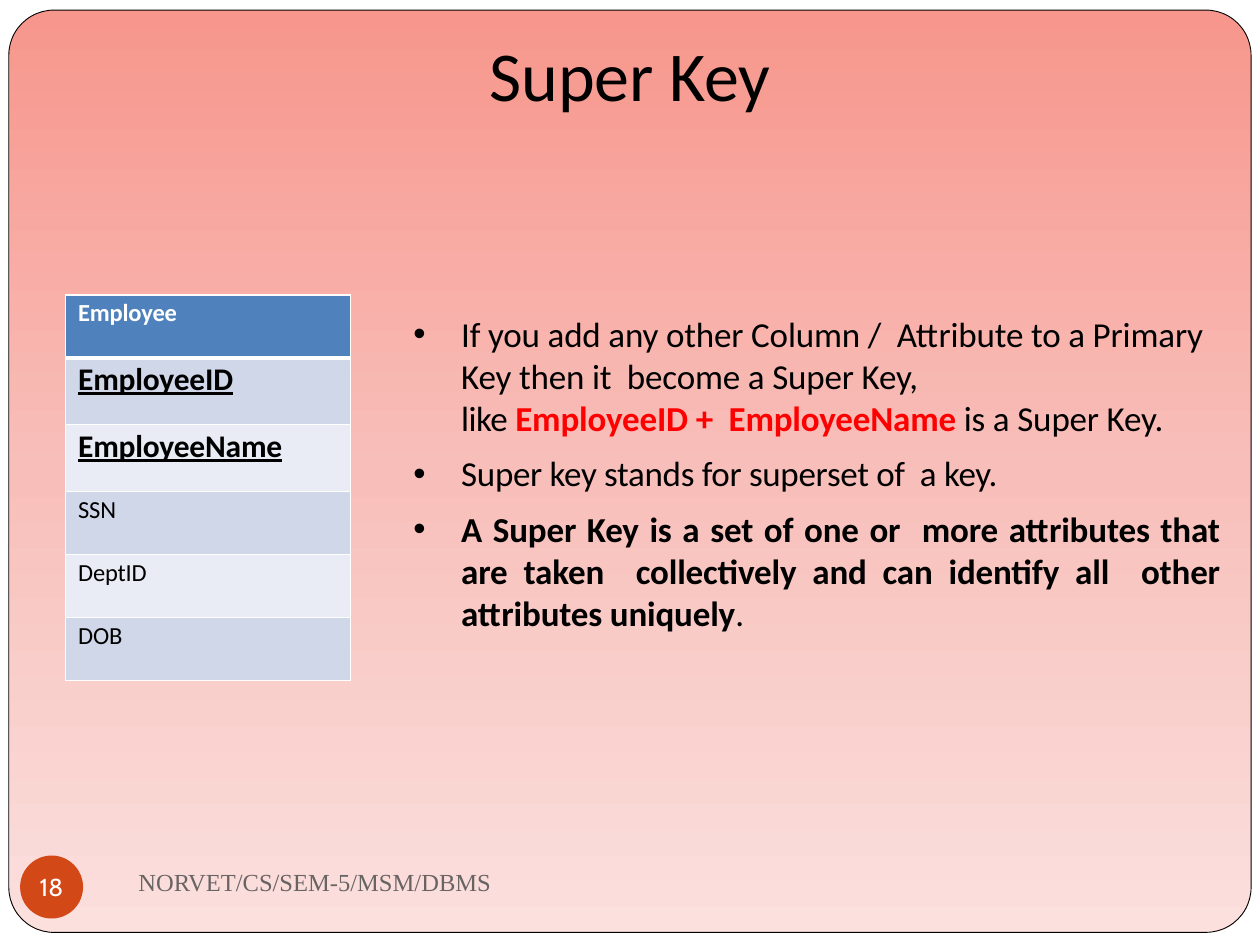
from copy import deepcopy

from lxml.etree import SubElement
from pptx import Presentation
from pptx.dml.color import RGBColor
from pptx.enum.shapes import MSO_SHAPE as Shape
from pptx.enum.text import MSO_ANCHOR as Anchor, MSO_AUTO_SIZE as AutoSize, PP_ALIGN as Align
from pptx.oxml.ns import qn
from pptx.util import Inches, Pt

BLACK = RGBColor(0x00, 0x00, 0x00)
WHITE = RGBColor(0xFF, 0xFF, 0xFF)
RED = RGBColor(0xFF, 0x00, 0x00)
GREY = RGBColor(0x69, 0x64, 0x64)
ORANGE = RGBColor(0xD3, 0x48, 0x17)
HEADER_BLUE = RGBColor(0x4F, 0x81, 0xBC)
BANDS = (RGBColor(0xD0, 0xD7, 0xE8), RGBColor(0xE9, 0xEC, 0xF4))
PANEL_STOPS = ((0, RGBColor(0xF7, 0x96, 0x8C)), (0.5, RGBColor(0xF8, 0xBF, 0xBA)),
               (1, RGBColor(0xFB, 0xE0, 0xDE)))


def write(paragraph, text, size=20, font="Calibri", color=BLACK, bold=False,
          underline=False, spacing=-0.1, align=Align.LEFT, before=0):
    """Append a formatted run to a paragraph."""
    paragraph.alignment = align
    paragraph.space_before = Pt(before)
    run = paragraph.add_run()
    run.text = text
    run.font.size, run.font.name = Pt(size), font
    run.font.bold, run.font.underline = bold, underline
    run.font.color.rgb = color
    run._r.get_or_add_rPr().set("spc", str(round(spacing * 100)))


class KeySlide:
    """Holds the style and the current slide."""

    def __init__(self, deck):
        self.slide = deck.slides.add_slide(deck.slide_layouts[5])
        self.shapes = self.slide.shapes
        self.slide.background.fill.solid()
        self.slide.background.fill.fore_color.rgb = WHITE

    def place(self, shape, box):
        shape.left, shape.top, shape.width, shape.height = map(Inches, box)

    def frame(self, shape, insets=(0, 0.01, 0, 0), anchor=Anchor.TOP, wrap=True):
        frame = shape.text_frame
        frame.auto_size = AutoSize.NONE
        frame.word_wrap, frame.vertical_anchor = wrap, anchor
        (frame.margin_left, frame.margin_top,
         frame.margin_right, frame.margin_bottom) = map(Inches, insets)
        return frame

    def panel(self, box):
        panel = self.shapes.add_shape(Shape.ROUNDED_RECTANGLE, *map(Inches, box))
        panel.adjustments[0] = 0.049
        panel.shadow.inherit = False
        panel.line.color.rgb, panel.line.width = BLACK, Pt(0.5)
        panel.fill.gradient()
        panel.fill.gradient_angle = 270
        stops = panel._element.spPr.find(".//" + qn("a:gsLst"))
        stops.insert(1, deepcopy(stops[0]))
        for stop, (position, color) in zip(panel.fill.gradient_stops, PANEL_STOPS):
            stop.position, stop.color.rgb = position, color
        self.shapes._spTree.insert(2, panel._element)

    def title(self, text, box):
        title = self.shapes.title
        self.place(title, box)
        frame = self.frame(title, anchor=Anchor.BOTTOM)
        write(frame.paragraphs[0], text, size=40, align=Align.CENTER, before=1)

    def footer(self, text, box):
        footer = self.shapes.add_textbox(*map(Inches, box))
        frame = self.frame(footer, (0.1, 0.05, 0.1, 0.05), Anchor.MIDDLE)
        write(frame.paragraphs[0], text, size=14, font="Times New Roman",
              color=GREY, spacing=0)

    def badge(self, text, box):
        badge = self.shapes.add_shape(Shape.OVAL, *map(Inches, box))
        badge.shadow.inherit = False
        badge.fill.solid()
        badge.fill.fore_color.rgb = ORANGE
        badge.line.fill.background()
        frame = self.frame(badge, (0, 0, 0, 0), Anchor.MIDDLE, wrap=False)
        write(frame.paragraphs[0], text, size=14, font="Cabin", color=WHITE,
              spacing=0, align=Align.CENTER)

    def border(self, cell, side, width):
        line = SubElement(cell._tc.get_or_add_tcPr(), qn(f"a:ln{side}"), w=str(Pt(width)))
        fill = SubElement(line, qn("a:solidFill"))
        SubElement(fill, qn("a:srgbClr"), val=str(WHITE))

    def attribute_table(self, header, attributes, key_count, box):
        rows = [header, *attributes]
        table = self.shapes.add_table(len(rows), 1, *map(Inches, box)).table
        for index, text in enumerate(rows):
            is_key = 1 <= index <= key_count
            table.rows[index].height = Inches(0.53 if is_key else 0.5)
            cell = table.cell(index, 0)
            cell.margin_left, cell.margin_right = Inches(0.1), 0
            cell.margin_top, cell.margin_bottom = Inches(0.02 if is_key else 0.03), 0
            widths = {"L": 1, "R": 1, "T": 3 if index == 1 else 1, "B": 3 if index == 0 else 1}
            for side, width in widths.items():
                self.border(cell, side, width)
            cell.fill.solid()
            cell.fill.fore_color.rgb = BANDS[(index - 1) % 2] if index else HEADER_BLUE
            write(cell.text_frame.paragraphs[0], text, size=18 if is_key else 14,
                  color=BLACK if index else WHITE, bold=index <= key_count,
                  underline=is_key, before=2 if is_key else 2.5)

    def bullets(self, items, box):
        frame = self.frame(self.shapes.add_textbox(*map(Inches, box)))
        for index, (bulleted, runs, layout) in enumerate(items):
            paragraph = frame.add_paragraph() if index else frame.paragraphs[0]
            for text, style in runs:
                write(paragraph, text, **style, **layout)
            properties = paragraph._p.get_or_add_pPr()
            properties.set("marL", str(Inches(0.39)))
            properties.set("indent", str(Inches(-0.38 if bulleted else 0)))
            if bulleted:
                SubElement(properties, qn("a:buFont"), typeface="Arial")
                SubElement(properties, qn("a:buChar"), char="•")
            else:
                SubElement(properties, qn("a:buNone"))


def main():
    deck = Presentation()
    deck.slide_width, deck.slide_height = Inches(10), Inches(7.5)
    page = KeySlide(deck)
    page.panel((0.07, 0.08, 9.86, 7.32))
    page.footer("NORVET/CS/SEM-5/MSM/DBMS", (1, 6.75, 4.33, 0.5))
    page.badge("18", (0.16, 6.79, 0.5, 0.5))
    page.title("Super Key", (3.09, 0.23, 3.82, 0.69))
    page.attribute_table("Employee", ["EmployeeID", "EmployeeName", "SSN", "DeptID", "DOB"],
                         2, (0.52, 2.34, 2.26, 3.05))
    justified = {"align": Align.JUSTIFY, "before": 7.7}
    page.bullets([
        (True, [("If you add any other Column /  Attribute to a Primary "
                 "Key then it  become a Super Key,", {})], {"before": 1.1}),
        (False, [("like ", {"spacing": -0.3}),
                 ("EmployeeID +  EmployeeName ", {"color": RED, "bold": True}),
                 ("is a Super Key.", {})], {}),
        (True, [("Super key stands for superset of  a key.", {"spacing": -0.2})], justified),
        (True, [("A Super Key is a set of one or  more attributes that are taken  "
                 "collectively and can identify all  other attributes uniquely",
                 {"bold": True}), (".", {})], justified),
    ], (3.27, 2.47, 6.41, 2.6))
    deck.save("out.pptx")


if __name__ == "__main__":
    main()
